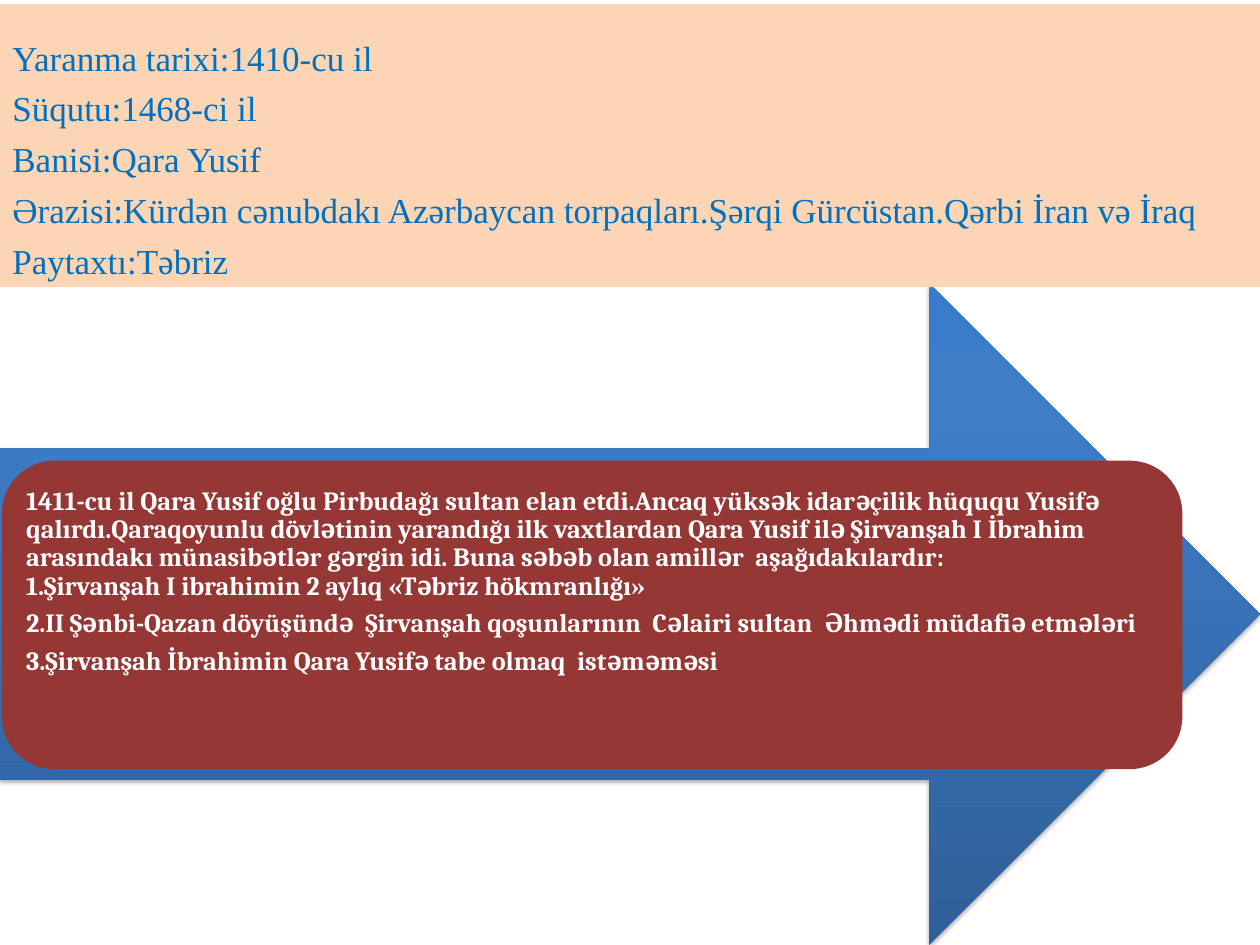
from lxml import etree
from pptx import Presentation
from pptx import util as u
from pptx.dml.color import RGBColor
from pptx.enum import shapes, text
from pptx.oxml import ns, parse_xml

FACTS = [
    "Yaranma tarixi:1410-cu il",
    "Süqutu:1468-ci il",
    "Banisi:Qara Yusif",
    "Ərazisi:Kürdən cənubdakı Azərbaycan torpaqları.Şərqi Gürcüstan.Qərbi İran və İraq",
    "Paytaxtı:Təbriz",
]
REASONS = [
    "1411-cu il Qara Yusif oğlu Pirbudağı sultan elan etdi.Ancaq yüksək idarəçilik "
    "hüququ Yusifə qalırdı.Qaraqoyunlu dövlətinin yarandığı ilk vaxtlardan Qara Yusif "
    "ilə Şirvanşah I İbrahim arasındakı münasibətlər gərgin idi. Buna səbəb olan "
    "amillər  aşağıdakılardır:\v1.Şirvanşah I ibrahimin 2 aylıq «Təbriz hökmranlığı»",
    "2.II Şənbi-Qazan döyüşündə  Şirvanşah qoşunlarının  Cəlairi sultan  Əhmədi "
    "müdafiə etmələri",
    "3.Şirvanşah İbrahimin Qara Yusifə tabe olmaq  istəməməsi",
]
ARROW_STOPS = [(0, "2F5F99"), (80, "3D7CC7"), (100, "3A7CCB")]


def color(value):
    return RGBColor.from_string(value)


class SlideBuilder:
    def __init__(self, slide):
        self.slide = slide

    def shape(self, kind, box, fill=None, line=None):
        shape = self.slide.shapes.add_shape(kind, *map(u.Inches, box))
        shape.shadow.inherit = False
        if fill:
            shape.fill.solid()
            shape.fill.fore_color.rgb = color(fill)
        if line:
            shape.line.color.rgb = color(line)
            shape.line.width = u.Pt(2)
        else:
            shape.line.fill.background()
        return shape

    def gradient_arrow(self, box, stops):
        arrow = self.shape(shapes.MSO_SHAPE.RIGHT_ARROW, box)
        properties = arrow._element.spPr
        stop_xml = "".join(
            f'<a:gs pos="{position * 1000}"><a:srgbClr val="{value}"/></a:gs>'
            for position, value in stops)
        gradient = parse_xml(
            f'<a:gradFill {ns.nsdecls("a")} rotWithShape="1"><a:gsLst>{stop_xml}</a:gsLst>'
            '<a:lin ang="16200000" scaled="0"/></a:gradFill>')
        properties.find(ns.qn("a:prstGeom")).addnext(gradient)
        # Soft shadow straight below the arrow
        effects = properties.find(ns.qn("a:effectLst"))
        shadow = etree.SubElement(
            effects, ns.qn("a:outerShdw"), blurRad=str(u.Pt(3.1)),
            dist=str(u.Pt(1.8)), dir="5400000", rotWithShape="0")
        black = etree.SubElement(shadow, ns.qn("a:srgbClr"), val="000000")
        etree.SubElement(black, ns.qn("a:alpha"), val="35000")

    def add_text(self, shape, lines, font, size, ink, anchor, insets,
                 bold=False, before=0, after=0, spacing=1.0):
        frame = shape.text_frame
        frame.word_wrap = True
        frame.vertical_anchor = anchor
        (frame.margin_left, frame.margin_top,
         frame.margin_right, frame.margin_bottom) = map(u.Inches, insets)
        frame.text = "\n".join(lines)
        for paragraph in frame.paragraphs:
            paragraph.alignment = text.PP_ALIGN.LEFT
            paragraph.space_before = u.Pt(before)
            paragraph.space_after = u.Pt(after)
            paragraph.line_spacing = spacing
            for run in paragraph.runs:
                run.font.name = font
                run.font.size = u.Pt(size)
                run.font.bold = bold
                run.font.color.rgb = color(ink)


def main():
    presentation = Presentation()
    presentation.slide_width = u.Inches(10)
    presentation.slide_height = u.Inches(7.5)
    builder = SlideBuilder(presentation.slides.add_slide(presentation.slide_layouts[6]))

    # Arrow behind the explanation
    builder.gradient_arrow((0, 2.25, 10, 5.25), ARROW_STOPS)

    # Explanation card
    card = builder.shape(shapes.MSO_SHAPE.ROUNDED_RECTANGLE,
                         (0.03, 3.67, 9.34, 2.42), "953735", "953735")
    # The preset's own text area already adds 0.12 inch on each side
    builder.add_text(card, REASONS, "Cambria", 15, "FFFFFF", text.MSO_ANCHOR.TOP,
                     (0.06, 0.08, 0.05, 0), bold=True, after=5.25, spacing=0.9)

    # Key facts band
    band = builder.shape(shapes.MSO_SHAPE.RECTANGLE, (0, 0.03, 10, 2.25), "FCD5B5")
    builder.add_text(band, FACTS, "Times New Roman", 20, "0070C0",
                     text.MSO_ANCHOR.BOTTOM, (0.1, 0.05, 0.1, 0.05), before=5)

    presentation.save("out.pptx")


if __name__ == "__main__":
    main()
